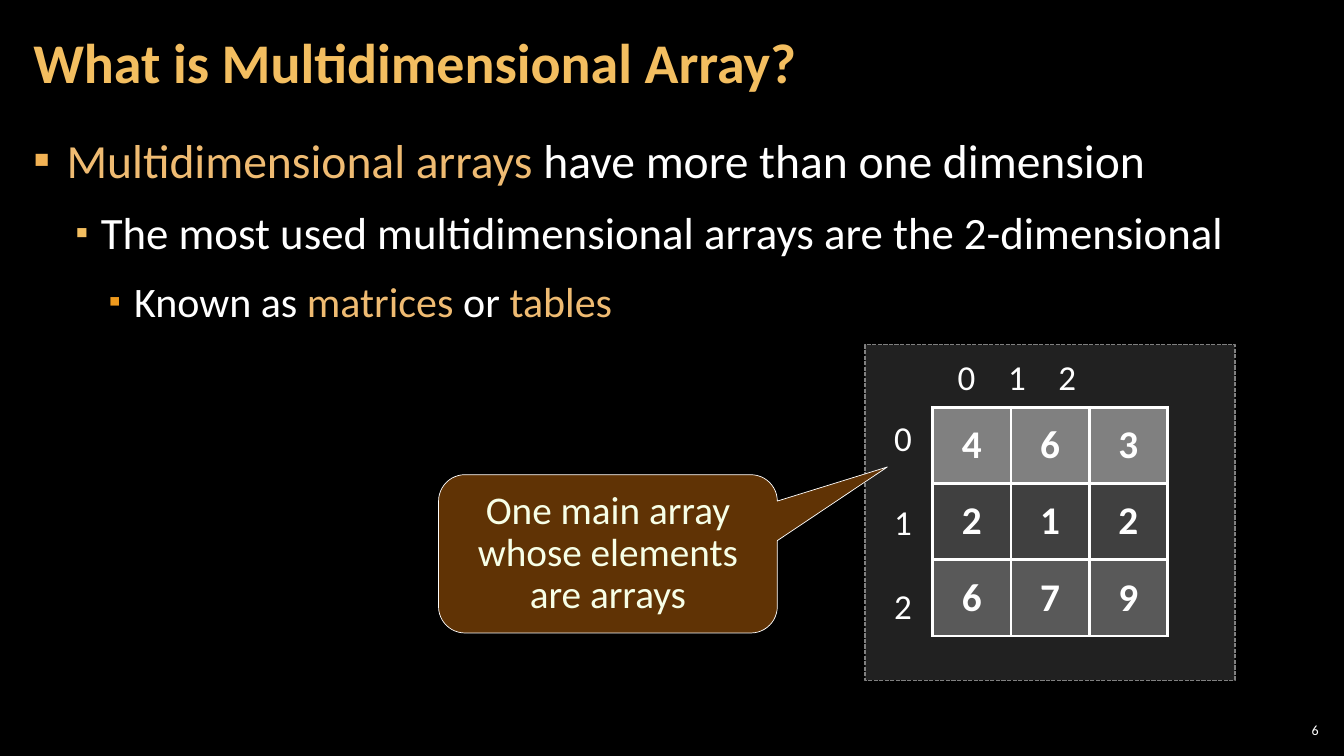
from lxml.etree import SubElement
from pptx import Presentation
from pptx.dml.color import RGBColor
from pptx.enum.dml import MSO_LINE
from pptx.enum.shapes import MSO_SHAPE
from pptx.enum.text import MSO_ANCHOR, MSO_AUTO_SIZE, PP_ALIGN
from pptx.oxml import parse_xml
from pptx.oxml.ns import nsdecls, qn
from pptx.util import Inches, Pt

COLORS = {
    "background": "000000", "white": "FFFFFF", "title": "F3BE60",
    "accent": "EFBB72", "panel": "A6A6A6", "panel_line": "808080",
    "callout": "663606", "callout_text": "F7FFE7",
}
FONT = "Calibri"
TITLE = "What is Multidimensional Array?"
BULLETS = [
    {"size": 34, "left": 0.33, "hang": 0.33, "color": "F2B254", "scale": 100,
     "spans": [("Multidimensional arrays", "accent"),
               (" have more than one dimension", "white")]},
    {"size": 32, "left": 0.67, "hang": 0.25, "color": "F3BE60", "scale": 80,
     "spans": [("The most used multidimensional arrays are the 2-dimensional", "white")]},
    {"size": 30, "left": 1.0, "hang": 0.25, "color": "EF9A1D", "scale": 80,
     "spans": [("Known as ", "white"), ("matrices", "accent"),
               (" or ", "white"), ("tables", "accent")]},
]
INDEXES = ["0", "1", "2"]
INDEX_TABS = [0.15, 0.96, 1.69]
MATRIX = [
    ("808080", [4, 6, 3]),
    ("404040", [2, 1, 2]),
    ("595959", [6, 7, 9]),
]
CALLOUT = "One main array whose elements are arrays"
PAGE_NUMBER = "6"


def rgb(name):
    return RGBColor.from_string(COLORS.get(name, name))


def add_span(para, text, size, color="white", bold=False):
    span = para.add_run()
    span.text = text
    formats = {"name": FONT, "size": Pt(size), "bold": bold}
    for key, value in formats.items():
        setattr(span.font, key, value)
    span.font.color.rgb = rgb(color)


def set_frame(frame, side=0.1, edge=0.05, anchor=MSO_ANCHOR.TOP):
    formats = {
        "word_wrap": True, "auto_size": MSO_AUTO_SIZE.NONE,
        "vertical_anchor": anchor,
        "margin_left": Inches(side), "margin_right": Inches(side),
        "margin_top": Inches(edge), "margin_bottom": Inches(edge),
    }
    for key, value in formats.items():
        setattr(frame, key, value)
    return frame


def add_box(page, place, **formats):
    box = page.shapes.add_textbox(*map(Inches, place))
    return set_frame(box.text_frame, **formats)


def next_para(frame, index):
    return frame.add_paragraph() if index else frame.paragraphs[0]


def add_panel(page, kind, place, fill, opacity, line, width):
    shape = page.shapes.add_shape(kind, *map(Inches, place))
    shape.shadow.inherit = False
    shape.fill.solid()
    shape.fill.fore_color.rgb = rgb(fill)
    color = shape.fill._xPr.find(qn("a:solidFill"))[0]
    SubElement(color, qn("a:alpha"), val=str(opacity * 1000))
    shape.line.color.rgb = rgb(line)
    shape.line.width = Pt(width)
    return shape


def add_title(page):
    title = page.shapes.title
    places = {"left": 0.21, "top": 0.04, "width": 10.47, "height": 1.21}
    for key, value in places.items():
        setattr(title, key, Inches(value))
    frame = set_frame(title.text_frame, 0.12, 0.04, MSO_ANCHOR.MIDDLE)
    para = frame.paragraphs[0]
    para.alignment = PP_ALIGN.LEFT
    para.line_spacing = 0.9
    add_span(para, TITLE, 40, "title", True)


def add_bullets(page):
    frame = add_box(page, (0.21, 1.26, 12.91, 6.09), side=0.12, edge=0.04)
    for level, bullet in enumerate(BULLETS):
        para = next_para(frame, level)
        para.level = level
        para.space_before = para.space_after = Pt(6)
        for text, color in bullet["spans"]:
            add_span(para, text, bullet["size"], color)
        props = para._p.get_or_add_pPr()
        props.set("marL", str(Inches(bullet["left"])))
        props.set("indent", str(-Inches(bullet["hang"])))
        mark_color = SubElement(props, qn("a:buClr"))
        SubElement(mark_color, qn("a:srgbClr"), val=bullet["color"])
        SubElement(props, qn("a:buSzPct"), val=str(bullet["scale"] * 1000))
        SubElement(props, qn("a:buFont"), typeface=FONT)
        SubElement(props, qn("a:buChar"), char="▪")


def add_indexes(page):
    columns = add_box(page, (9.25, 3.48, 2.33, 0.52))
    para = columns.paragraphs[0]
    add_span(para, "\t".join(INDEXES), 25)
    props = para._p.get_or_add_pPr()
    props.set("marL", str(Inches(INDEX_TABS[0])))
    props.set("indent", "0")
    tabs = SubElement(props, qn("a:tabLst"))
    for stop in INDEX_TABS[1:]:
        SubElement(tabs, qn("a:tab"), pos=str(Inches(stop)), algn="l")
    rows = add_box(page, (8.77, 4.08, 0.42, 2.2))
    for index, label in enumerate(INDEXES):
        para = next_para(rows, index)
        para.space_before = Pt(30 if index else 0)
        add_span(para, label, 25)


def add_borders(cell):
    props = cell._tc.get_or_add_tcPr()
    for position, side in enumerate(("lnL", "lnR", "lnT", "lnB")):
        props.insert(position, parse_xml(
            f'<a:{side} {nsdecls("a")} w="{Pt(2.25)}"><a:solidFill>'
            f'<a:srgbClr val="{COLORS["white"]}"/></a:solidFill></a:{side}>'))


def add_matrix(page):
    place = map(Inches, (9.25, 4.04, 2.33, 2.27))
    table = page.shapes.add_table(len(MATRIX), len(INDEXES), *place).table
    for row, (fill, values) in enumerate(MATRIX):
        for column, value in enumerate(values):
            cell = table.cell(row, column)
            cell.fill.solid()
            cell.fill.fore_color.rgb = rgb(fill)
            cell.vertical_anchor = MSO_ANCHOR.MIDDLE
            para = cell.text_frame.paragraphs[0]
            para.alignment = PP_ALIGN.CENTER
            add_span(para, str(value), 28, bold=True)
            add_borders(cell)


def add_callout(page):
    callout = add_panel(page, MSO_SHAPE.ROUNDED_RECTANGULAR_CALLOUT,
                        (4.35, 4.71, 3.36, 1.57), "callout", 95, "white", 0.5)
    for index, value in enumerate((0.825, -0.549, 0.167)):
        callout.adjustments[index] = value
    frame = set_frame(callout.text_frame, 0.1, 0.08, MSO_ANCHOR.MIDDLE)
    para = frame.paragraphs[0]
    para.alignment = PP_ALIGN.CENTER
    para.line_spacing = Pt(30)
    add_span(para, CALLOUT, 28, "callout_text")


def main():
    deck = Presentation()
    deck.slide_width, deck.slide_height = Inches(13.33), Inches(7.5)
    page = deck.slides.add_slide(deck.slide_layouts[5])
    page.background.fill.solid()
    page.background.fill.fore_color.rgb = rgb("background")
    number = add_box(page, (12.65, 7.14, 0.47, 0.21), side=0.04, edge=0.04,
                     anchor=MSO_ANCHOR.MIDDLE)
    number.paragraphs[0].alignment = PP_ALIGN.RIGHT
    add_span(number.paragraphs[0], PAGE_NUMBER, 10)
    add_bullets(page)
    add_title(page)
    panel = add_panel(page, MSO_SHAPE.RECTANGLE, (8.58, 3.42, 3.67, 3.33),
                      "panel", 20, "panel_line", 1)
    panel.line.dash_style = MSO_LINE.SQUARE_DOT
    add_indexes(page)
    add_callout(page)
    add_matrix(page)
    deck.save("out.pptx")


if __name__ == "__main__":
    main()
